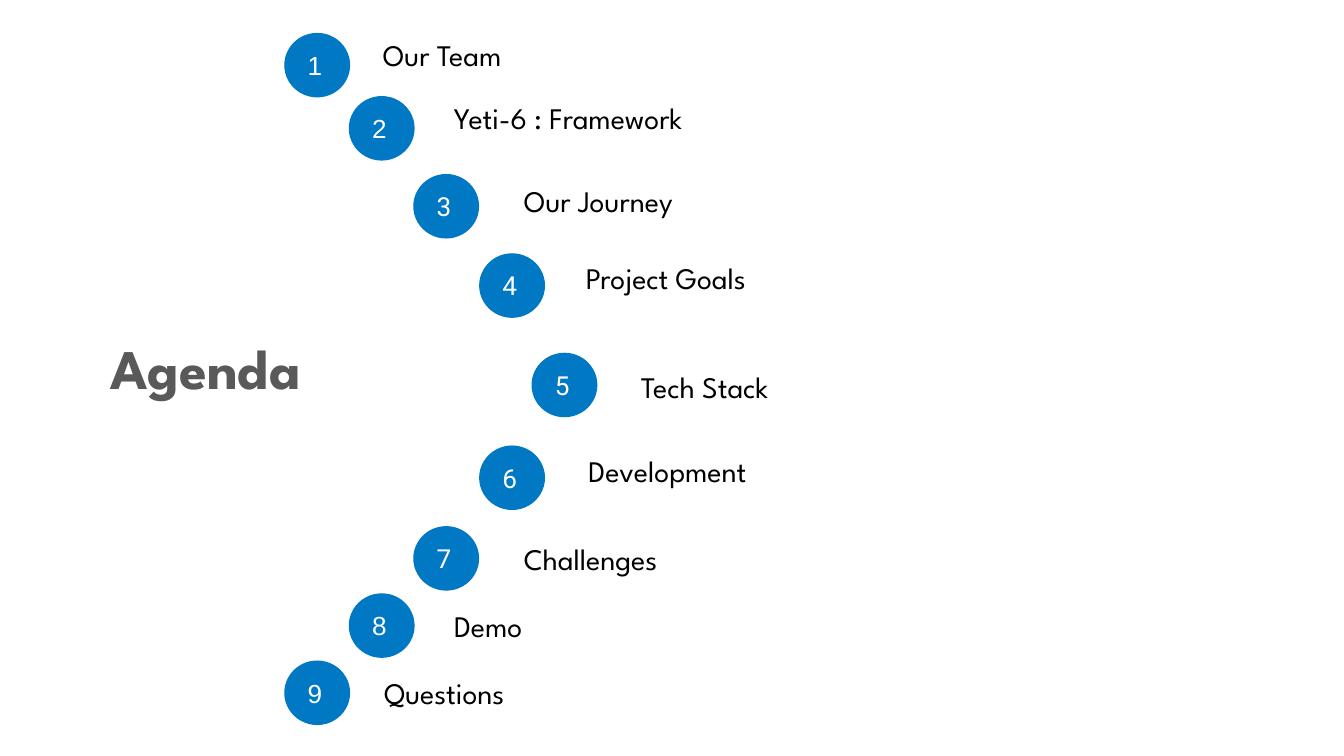
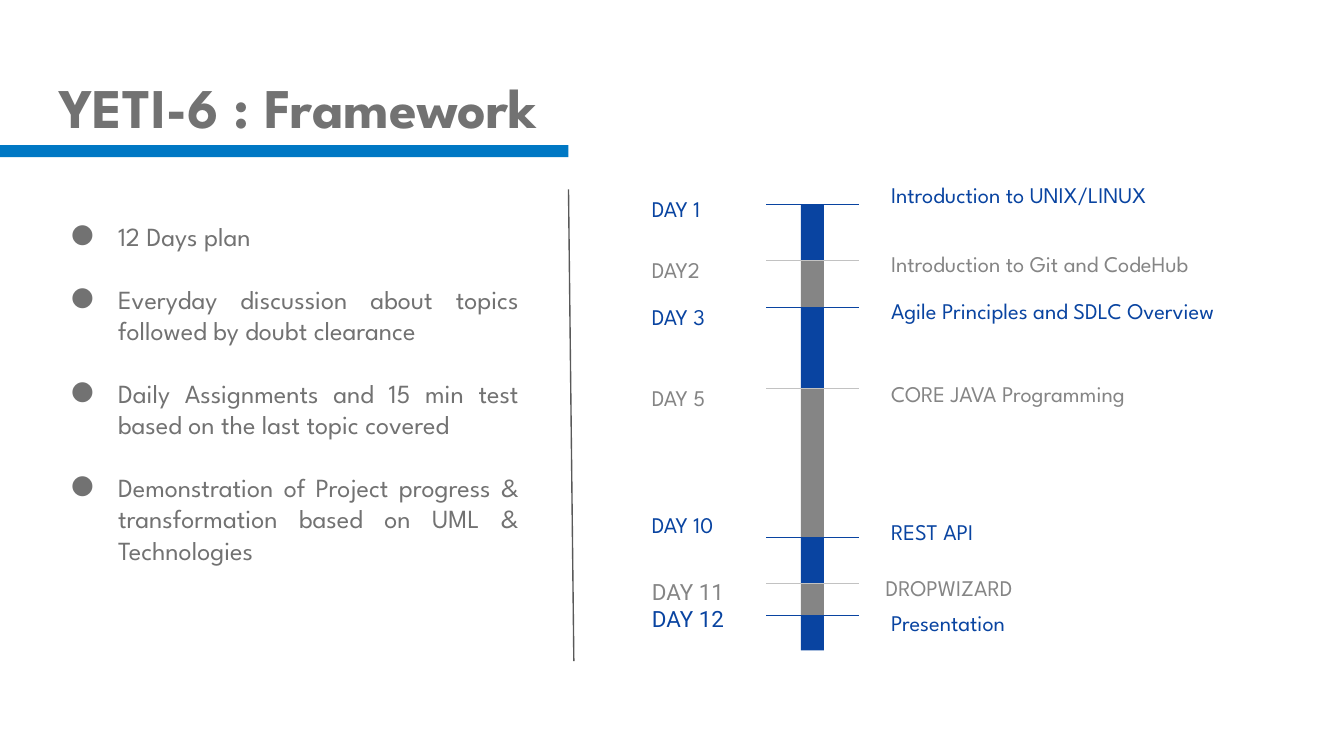
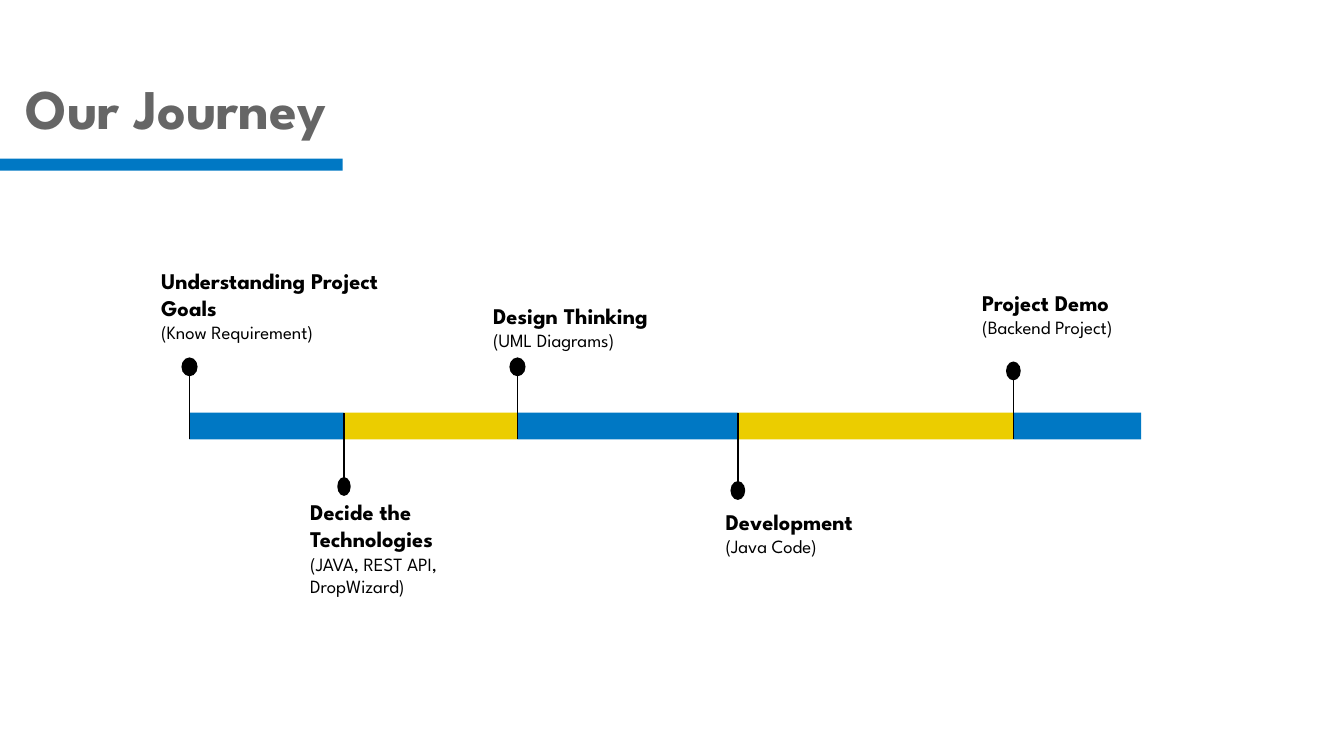
from pptx import Presentation
from pptx import util as u
from pptx.dml.color import RGBColor
from pptx.enum import shapes, text
from pptx.oxml import ns
from lxml import etree

BLUE, NAVY, YELLOW = "0078C4", "0944A1", "EBCD00"
BLACK, WHITE = "000000", "FFFFFF"
SLATE, GRAY, MID_GRAY, PALE_GRAY = "595959", "727272", "858585", "C2C2C2"
FONT = "League Spartan"
RECT, OVAL = shapes.MSO_SHAPE.RECTANGLE, shapes.MSO_SHAPE.OVAL


def color(value):
    """Turn a hex string into a colour."""
    return RGBColor.from_string(value)


def inches(*values):
    """Turn numbers into lengths."""
    return [u.Inches(v) for v in values]


def set_all(obj, values):
    """Set each attribute named in a dict."""
    for name, value in values.items():
        setattr(obj, name, value)


def add_run(p, words, size, fill, bold=False, font=FONT):
    """Add a formatted run to a paragraph."""
    r = p.add_run()
    r.text = words
    set_all(r.font, {"name": font, "size": u.Pt(size), "bold": bold})
    r.font.color.rgb = color(fill)


def set_frame(tf, inset, **values):
    """Set the insets and wrapping of a text frame."""
    margins = dict.fromkeys(("margin_left", "margin_top", "margin_right", "margin_bottom"), u.Inches(inset))
    set_all(tf, {"word_wrap": True, **margins, **values})


def add_text(s, box, inset=0.1, **values):
    """Add a text box and return its frame."""
    tf = s.shapes.add_textbox(*inches(*box)).text_frame
    set_frame(tf, inset, **values)
    return tf


def add_label(s, box, words, size, fill, inset=0.1, spacing=None, **style):
    """Add a text box that holds one run."""
    p = add_text(s, box, inset).paragraphs[0]
    p.line_spacing = spacing
    add_run(p, words, size, fill, **style)


def add_block(s, kind, box, fill):
    """Add a filled shape without a line."""
    sp = s.shapes.add_shape(kind, *inches(*box))
    sp.shadow.inherit = False
    sp.fill.solid()
    sp.fill.fore_color.rgb = color(fill)
    sp.line.fill.background()
    return sp


def add_line(s, x1, y1, x2, y2, fill):
    """Add a thin straight line."""
    line = s.shapes.add_connector(shapes.MSO_CONNECTOR.STRAIGHT, *inches(x1, y1, x2, y2))
    line.line.color.rgb = color(fill)
    line.line.width = u.Pt(0.75)
    etree.SubElement(line._element.spPr, ns.qn("a:effectLst"))


def add_title(s, box, words, fill, band, spacing=None):
    """Add a slide title and the blue band below it."""
    add_block(s, RECT, band, BLUE)
    tf = add_text(s, box, 0.07, margin_top=u.Inches(0.04), margin_bottom=u.Inches(0.04))
    p = tf.paragraphs[0]
    p.line_spacing = spacing
    add_run(p, words, 30, fill, True)


def add_agenda_item(s, number, words, circle, label):
    """Add a numbered circle and its topic."""
    sp = add_block(s, OVAL, (*circle, 0.48, 0.47), BLUE)
    sp.line.color.rgb = color(BLUE)
    sp.line.width = u.Pt(0.75)
    set_frame(sp.text_frame, 0.1, vertical_anchor=text.MSO_ANCHOR.MIDDLE)
    p = sp.text_frame.paragraphs[0]
    p.alignment = text.PP_ALIGN.LEFT
    add_run(p, str(number), 14, WHITE, font="Roboto" if 3 <= number <= 7 else "Arial")
    add_label(s, (*label, 3.43 if number <= 3 else 3.28, 0.47), words, 16, BLACK)


def add_bullets(s, box, items):
    """Add a justified bulleted list."""
    tf = add_text(s, box)
    for i, item in enumerate(items):
        p = tf.add_paragraph() if i else tf.paragraphs[0]
        set_all(p, {"alignment": text.PP_ALIGN.JUSTIFY, "space_before": u.Pt(16.8 if i else 0)})
        pPr = p._p.get_or_add_pPr()
        pPr.set("marL", str(u.Inches(0.5)))
        pPr.set("indent", str(u.Inches(-0.35)))
        bullet_color = etree.SubElement(pPr, ns.qn("a:buClr"))
        etree.SubElement(bullet_color, ns.qn("a:srgbClr")).set("val", GRAY)
        etree.SubElement(pPr, ns.qn("a:buFont")).set("typeface", FONT)
        etree.SubElement(pPr, ns.qn("a:buChar")).set("char", "●")
        add_run(p, item, 14, GRAY)


def add_day_plan(s, left, bottom, days):
    """Add a vertical bar of days with labels on both sides."""
    ends = [day[0] for day in days[1:]] + [bottom]
    for i, (day, end) in enumerate(zip(days, ends)):
        top, name, font, name_box, topic, topic_box = day
        fill, rule = (MID_GRAY, PALE_GRAY) if i % 2 else (NAVY, NAVY)
        add_block(s, RECT, (left + 1.24, top, 0.17, end - top), fill)
        add_line(s, left + 1.67, top, left + 0.98, top, rule)
        name_top, name_height = name_box
        add_label(s, (left, name_top, 0.99, name_height), name, 12, fill, 0.13, 1.15, font=font)
        shift, topic_top, topic_height = topic_box
        add_label(s, (left + shift, topic_top, 3.56, topic_height), topic, 12, fill, 0.13, 1.15)


def add_timeline(s, top, right, steps):
    """Add a horizontal bar of steps with pins above and below."""
    ends = [step[0] for step in steps[1:]] + [right]
    for i, (step, end) in enumerate(zip(steps, ends)):
        left, name, detail, box, dot_top, dot_width = step
        below = i % 2
        add_block(s, RECT, (left, top, end - left, 0.2), YELLOW if below else BLUE)
        pin = (top + 0.54, top) if below else (top - 0.33, top + 0.2)
        add_line(s, left, pin[0], left, pin[1], BLACK)
        add_block(s, OVAL, (left - dot_width / 2, dot_top, dot_width, 0.14), BLACK)
        p = add_text(s, box).paragraphs[0]
        add_run(p, name, 12, BLACK, True)
        p.add_line_break()
        add_run(p, detail, 10, BLACK)


def build_agenda(s):
    """Build the agenda slide."""
    add_label(s, (0.82, 2.48, 1.92, 0.47), "Agenda", 30, SLATE, 0, bold=True)
    items = [
        ("Our Team", (2.12, 0.25), (2.75, 0.17)),
        ("Yeti-6 : Framework", (2.6, 0.72), (3.28, 0.64)),
        ("Our Journey", (3.08, 1.3), (3.8, 1.26)),
        ("Project Goals", (3.57, 1.89), (4.26, 1.83)),
        ("Tech Stack", (3.96, 2.63), (4.67, 2.64)),
        ("Development", (3.57, 3.32), (4.28, 3.27)),
        ("Challenges", (3.08, 3.92), (3.8, 3.92)),
        ("Demo", (2.6, 4.42), (3.28, 4.42)),
        ("Questions", (2.12, 4.92), (2.76, 4.92)),
    ]
    for number, item in enumerate(items, 1):
        add_agenda_item(s, number, *item)


def build_framework(s):
    """Build the training plan slide."""
    add_title(s, (0.37, 0.45, 3.95, 0.51), "YETI-6 : Framework", GRAY, (0, 1.08, 4.23, 0.09), 1.1)
    add_bullets(s, (0.28, 1.54, 3.68, 3.23), [
        "12 Days plan",
        "Everyday discussion about topics followed by doubt clearance",
        "Daily Assignments and 15 min test based on the last topic covered",
        "Demonstration of Project progress & transformation based on UML & Technologies",
    ])
    add_line(s, 4.23, 1.41, 4.27, 4.92, SLATE)
    add_day_plan(s, 4.72, 4.84, [
        (1.52, "DAY 1", FONT, (1.31, 0.36), "Introduction to UNIX/LINUX", (1.78, 1.3, 0.13)),
        (1.94, "DAY2", FONT, (1.76, 0.36), "Introduction to Git and CodeHub", (1.78, 1.75, 0.2)),
        (2.29, "DAY 3", FONT, (2.13, 0.21), "Agile Principles and SDLC Overview", (1.78, 2.13, 0.17)),
        (2.89, "DAY 5", FONT, (2.71, 0.4), "CORE JAVA Programming", (1.78, 2.68, 0.32)),
        (4, "DAY 10", FONT, (3.76, 0.13), "REST API", (1.78, 3.71, 0.23)),
        (4.34, "DAY 11", "Roboto", (4.16, 0.28), "DROPWIZARD", (1.74, 4.16, 0.2)),
        (4.58, "DAY 12", "Roboto", (4.5, 0.09), "Presentation", (1.78, 4.45, 0.17)),
    ])


def build_journey(s):
    """Build the project journey slide."""
    add_title(s, (0.12, 0.51, 8.11, 0.5), "Our Journey", "666666", (0, 1.18, 2.55, 0.09))
    add_timeline(s, 3.07, 8.49, [
        (1.41, "Understanding Project Goals", "(Know Requirement)", (1.1, 1.89, 1.88, 0.5), 2.66, 0.12),
        (2.56, "Decide the Technologies", "(JAVA, REST API, DropWizard)", (2.21, 3.61, 1.76, 0.69), 3.55, 0.1),
        (3.85, "Design Thinking", "(UML Diagrams)", (3.57, 2.15, 1.89, 0.44), 2.66, 0.12),
        (5.49, "Development", "(Java Code)", (5.3, 3.68, 2.09, 0.53), 3.58, 0.11),
        (7.54, "Project Demo", "(Backend Project)", (7.21, 2.05, 1.42, 0.55), 2.69, 0.11),
    ])


prs = Presentation()
width = u.Inches(10)
set_all(prs, {"slide_width": width, "slide_height": width * 9 // 16})
for build in (build_agenda, build_framework, build_journey):
    build(prs.slides.add_slide(prs.slide_layouts[6]))
prs.save("out.pptx")
